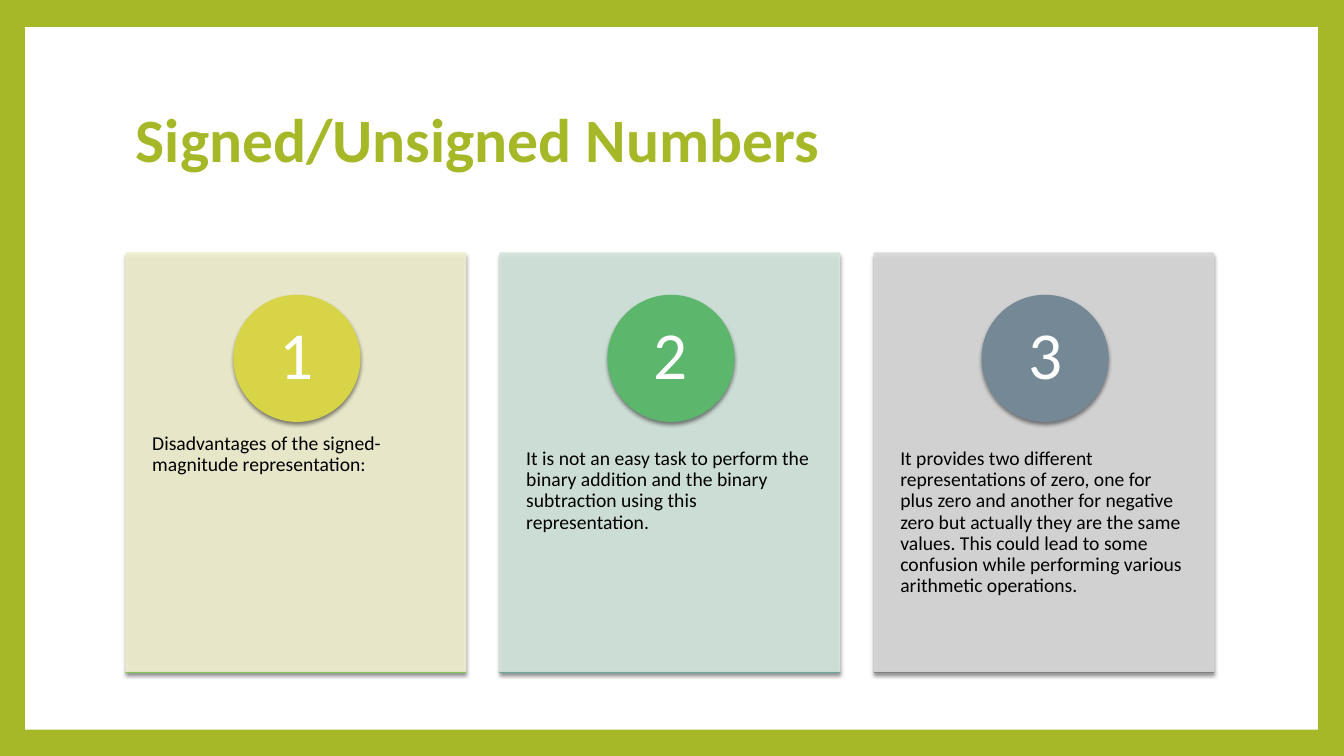
import lxml.etree
import pptx
import pptx.dml.color
import pptx.enum.shapes
import pptx.enum.text
import pptx.oxml
import pptx.oxml.ns
import pptx.util

Inches = pptx.util.Inches
Pt = pptx.util.Pt
Color = pptx.dml.color.RGBColor.from_string
Shape = pptx.enum.shapes.MSO_SHAPE
Align = pptx.enum.text.PP_ALIGN
Anchor = pptx.enum.text.MSO_ANCHOR

SHADOW = (
    f'<a:effectLst {pptx.oxml.ns.nsdecls("a")}>'
    '<a:outerShdw blurRad="38100" dist="25400" dir="5400000" rotWithShape="0">'
    '<a:srgbClr val="000000"><a:alpha val="45000"/></a:srgbClr>'
    '</a:outerShdw></a:effectLst>'
)


def add_text(text, left, top, width, height, size, color, bold=False,
             align=Align.LEFT, anchor=Anchor.TOP, inset=(0.1, 0.05)):
    box = slide.shapes.add_textbox(Inches(left), Inches(top), Inches(width), Inches(height))
    frame = box.text_frame
    frame.word_wrap = True
    frame.vertical_anchor = anchor
    frame.margin_left = frame.margin_right = Inches(inset[0])
    frame.margin_top = frame.margin_bottom = Inches(inset[1])
    para = frame.paragraphs[0]
    para.alignment = align
    para.line_spacing = 0.9
    span = para.add_run()
    span.text = text
    span.font.name = "Calibri"
    span.font.size = Pt(size)
    span.font.bold = bold
    span.font.color.rgb = Color(color)


def add_raised_shape(kind, left, top, width, height, color, opacity=100):
    shape = slide.shapes.add_shape(kind, Inches(left), Inches(top), Inches(width), Inches(height))
    shape.fill.solid()
    shape.fill.fore_color.rgb = Color(color)
    shape.line.color.rgb = Color(color)
    shape.line.width = Pt(0.79)
    properties = shape.fill._xPr
    if opacity < 100:
        for tone in properties.iter(pptx.oxml.ns.qn("a:srgbClr")):
            alpha = lxml.etree.SubElement(tone, pptx.oxml.ns.qn("a:alpha"))
            alpha.set("val", str(opacity * 1000))
    properties.append(pptx.oxml.parse_xml(SHADOW))


deck = pptx.Presentation()
deck.slide_width = Inches(13.33)
deck.slide_height = Inches(7.5)
slide = deck.slides.add_slide(deck.slide_layouts[6])
slide.background.fill.solid()
slide.background.fill.fore_color.rgb = Color("A6B727")

page = slide.shapes.add_shape(Shape.RECTANGLE, Inches(0.25), Inches(0.27), Inches(12.82), Inches(6.97))
page.shadow.inherit = False
page.fill.solid()
page.fill.fore_color.rgb = Color("FFFFFF")
page.line.fill.background()

add_text("Signed/Unsigned Numbers", 1.25, 0.67, 10.8, 1.48, size=44, color="A6B727",
         bold=True, anchor=Anchor.MIDDLE)

cards = [
    ("F0EFCF", "D7D447", "83C851",
     "Disadvantages of the signed-magnitude representation:"),
    ("D3E5DC", "5CB76D", "68A79A",
     "It is not an easy task to perform the binary addition and the binary subtraction "
     "using this representation."),
    ("D8D8D9", "748895", "818183",
     "It provides two different representations of zero, one for plus zero and another for "
     "negative zero but actually they are the same values. This could lead to some confusion "
     "while performing various arithmetic operations."),
]
card_width = 3.37
circle_size = 1.25
number_size = 0.88

for index, (card_color, circle_color, edge_color, text) in enumerate(cards):
    left = 1.25 + index * 3.71
    center = left + card_width / 2 + 0.01
    add_raised_shape(Shape.RECTANGLE, left, 2.51, card_width, 4.15, card_color, opacity=90)
    add_text(text, left, 4.09, card_width, 2.49, size=14, color="000000", inset=(0.26, 0.36))
    add_raised_shape(Shape.OVAL, center - circle_size / 2, 2.93, circle_size, circle_size, circle_color)
    add_text(str(index + 1), center - number_size / 2, 3.11, number_size, number_size,
             size=48, color="FFFFFF", align=Align.CENTER, anchor=Anchor.MIDDLE, inset=(0.1, 0.01))
    add_raised_shape(Shape.RECTANGLE, left, 6.67, card_width, 0, edge_color)

deck.save("out.pptx")
